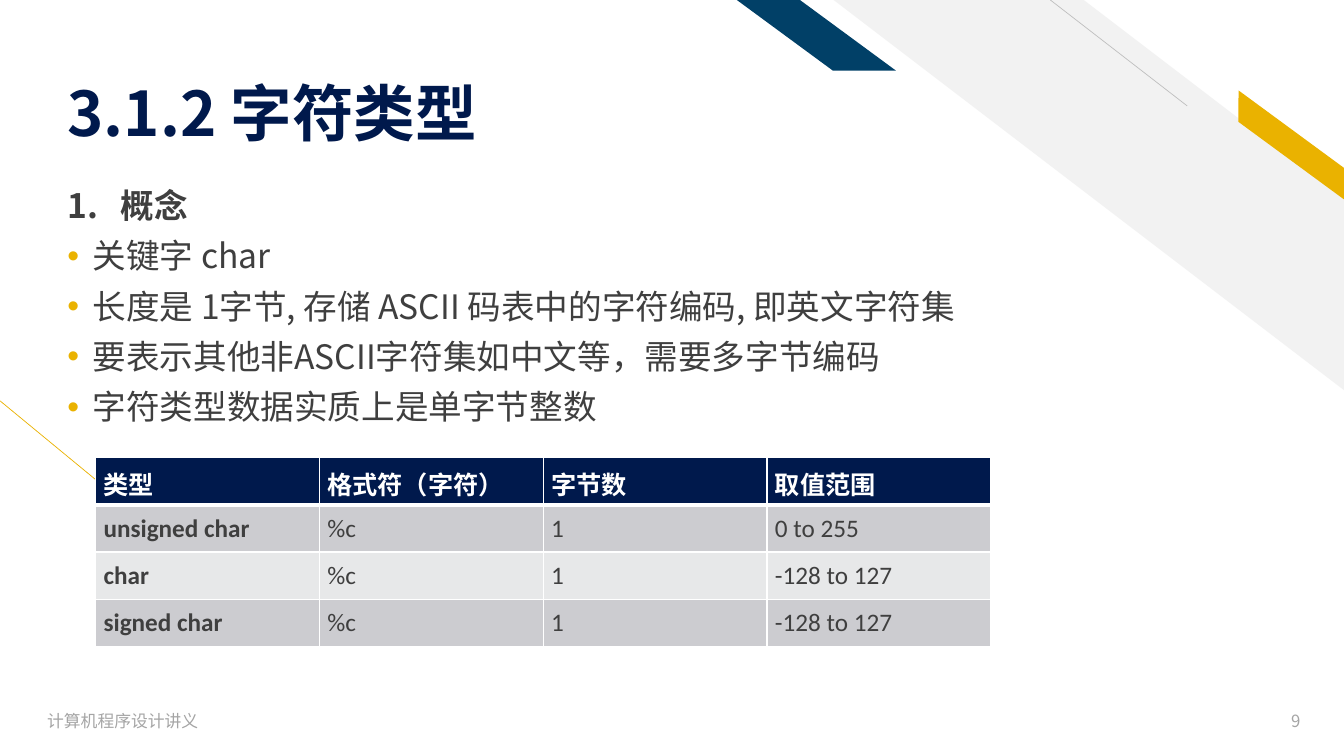
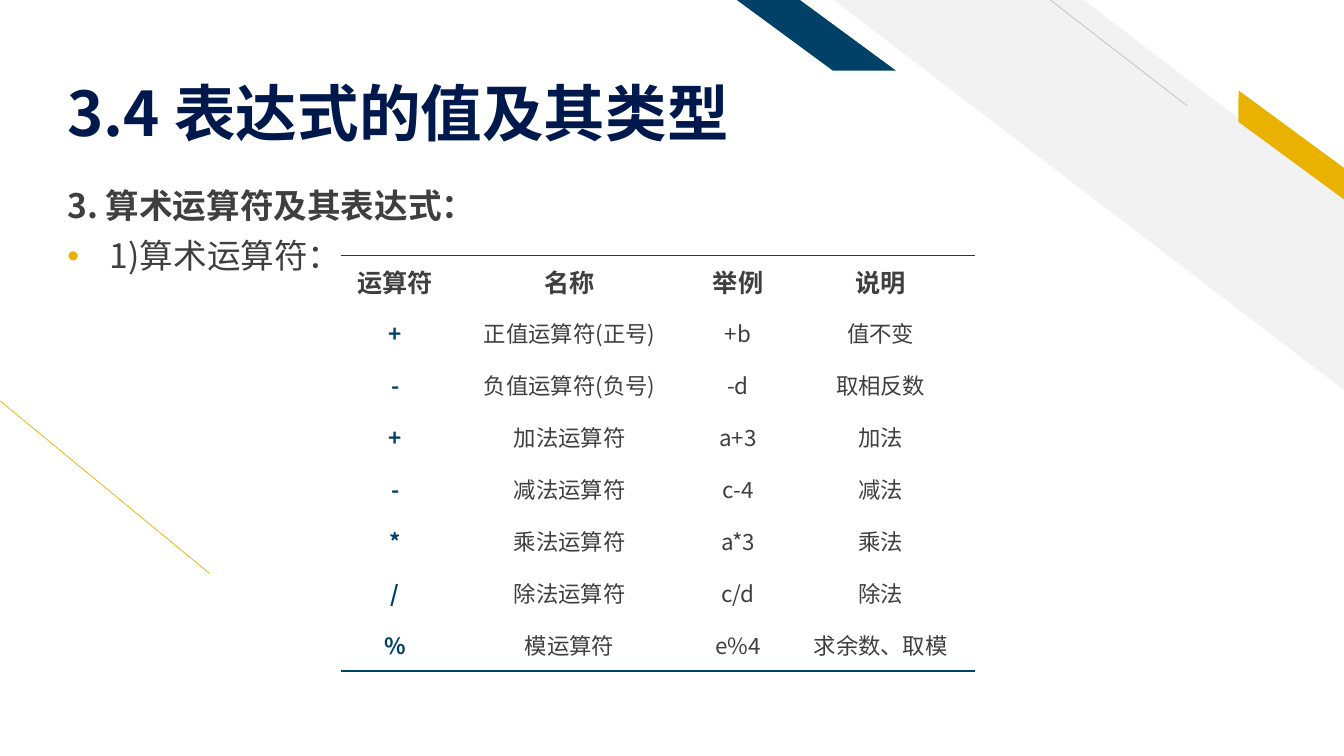
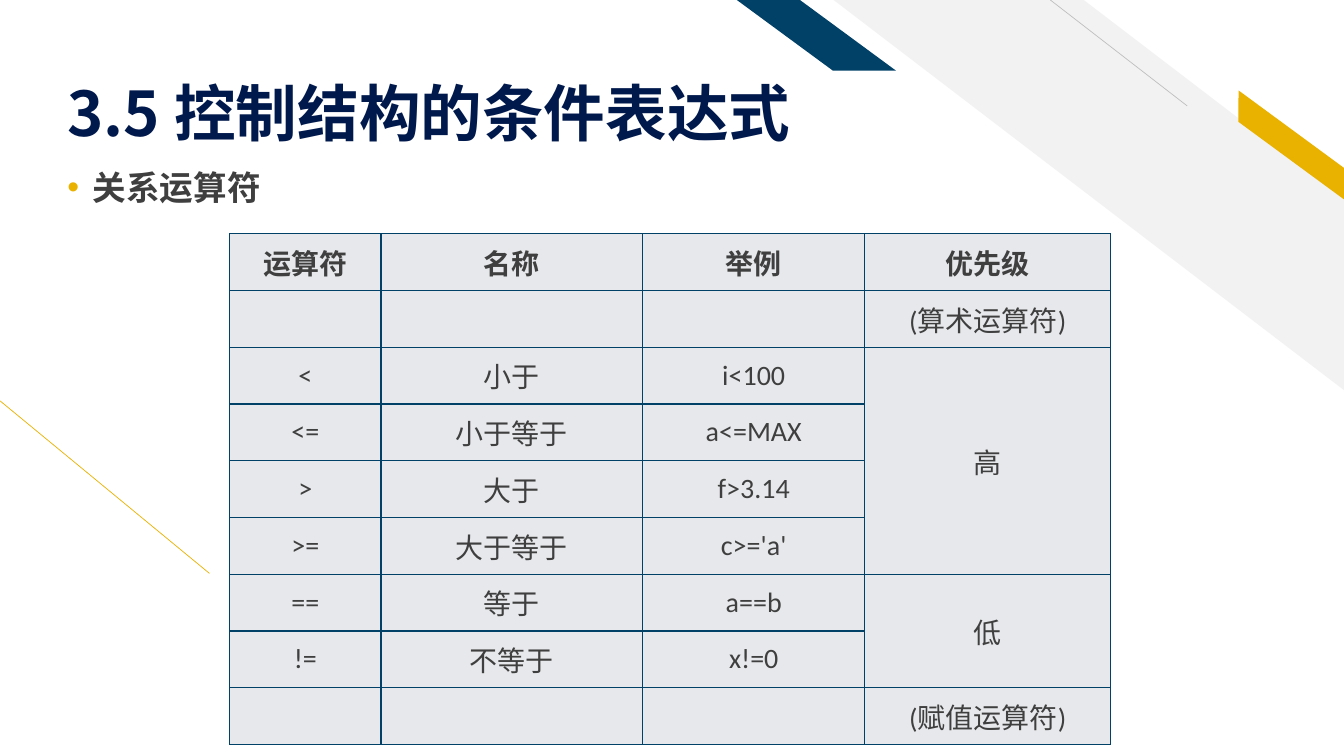
from dataclasses import dataclass

from lxml import etree
from pptx import Presentation
from pptx.dml.color import RGBColor
from pptx.enum.shapes import MSO_CONNECTOR, MSO_SHAPE
from pptx.enum.text import MSO_ANCHOR, MSO_AUTO_SIZE, PP_ALIGN
from pptx.oxml.ns import qn
from pptx.util import Cm, Pt

STRIPE, PARALLELOGRAM = MSO_SHAPE.DIAGONAL_STRIPE, MSO_SHAPE.PARALLELOGRAM
STRAIGHT = MSO_CONNECTOR.STRAIGHT
TOP, MIDDLE, BOTTOM = MSO_ANCHOR.TOP, MSO_ANCHOR.MIDDLE, MSO_ANCHOR.BOTTOM
LEFT, CENTER, RIGHT = PP_ALIGN.LEFT, PP_ALIGN.CENTER, PP_ALIGN.RIGHT
TITLE_ONLY = 5
NO_TABLE_STYLE = "{2D5ABB26-0587-4C30-8999-92F81FD0307C}"


@dataclass(frozen=True)
class Theme:
    navy: str = "00194C"
    blue: str = "014067"
    gold: str = "EAB200"
    text: str = "3F3F3F"
    muted: str = "A5A5A5"
    white: str = "FFFFFF"
    stripe: str = "F2F2F2"
    hairline: str = "BFBFBF"
    dark_band: str = "CCCCD0"
    light_band: str = "E7E8E9"
    grid: str = "E7E8EB"
    font: str = "Noto Sans CJK SC"
    table_font: str = "Calibri"
    title_size: float = 44
    body_size: float = 24
    footer_size: float = 12


THEME = Theme()


@dataclass(frozen=True)
class Box:
    """A place on the slide, in centimetres."""
    left: float
    top: float
    width: float
    height: float

    def lengths(self):
        return Cm(self.left), Cm(self.top), Cm(self.width), Cm(self.height)


@dataclass(frozen=True)
class Band:
    preset: int
    box: Box
    adjustment: float
    color: str
    rotation: float = 0


@dataclass(frozen=True)
class Hairline:
    start: tuple[float, float]
    end: tuple[float, float]
    color: str


@dataclass(frozen=True)
class BodyLine:
    text: str
    hanging: float = 0.64
    bullet: bool = True
    bold: bool = False


@dataclass(frozen=True)
class CellStyle:
    """Format of a cell; borders maps L, R, T and B to (colour, points)."""
    size: float
    color: str = THEME.text
    bold: bool = False
    font: str = THEME.font
    align: int = CENTER
    fill: str | None = None
    borders: dict[str, tuple[str, float]] | None = None
    margin: float | None = None


BACKDROP = (
    Hairline((5.28, 14.45), (0, 10.1), THEME.gold),
    Band(STRIPE, Box(21.01, 0, 12.86, 9.83), 0.51, THEME.stripe),
    Hairline((29.92, 2.67), (26.47, 0), THEME.hairline),
    Band(PARALLELOGRAM, Box(30.66, 3.33, 3.76, 0.64), 0.72, THEME.gold, 36.3),
    Band(PARALLELOGRAM, Box(18.57, 0, 4.01, 1.78), 1.36, THEME.blue),
)
TITLE_BOX = Box(1.45, 0.58, 23.14, 3.2)
FOOTER_BOX = Box(0.94, 17.65, 11.43, 1.02)
NUMBER_BOX = Box(30.96, 17.65, 2.06, 1.02)

CHARACTER_TYPES = (
    ("类型", "格式符（字符）", "字节数", "取值范围"),
    ("unsigned char", "%c", "1", "0 to 255"),
    ("char", "%c", "1", "-128 to 127"),
    ("signed char", "%c", "1", "-128 to 127"),
)
ARITHMETIC_OPERATORS = (
    ("运算符", "名称", "举例", "说明"),
    ("+", "正值运算符(正号)", "+b", "值不变"),
    ("-", "负值运算符(负号)", "-d", "取相反数"),
    ("+", "加法运算符", "a+3", "加法"),
    ("-", "减法运算符", "c-4", "减法"),
    ("*", "乘法运算符", "a*3", "乘法"),
    ("/", "除法运算符", "c/d", "除法"),
    ("%", "模运算符", "e%4", "求余数、取模"),
)
RELATIONAL_OPERATORS = (
    ("运算符", "名称", "举例", "优先级"),
    ("", "", "", "(算术运算符)"),
    ("<", "小于", "i<100", "高"),
    ("<=", "小于等于", "a<=MAX", ""),
    (">", "大于", "f>3.14", ""),
    (">=", "大于等于", "c>='a'", ""),
    ("==", "等于", "a==b", "低"),
    ("!=", "不等于", "x!=0", ""),
    ("", "", "", "(赋值运算符)"),
)


def rgb(color: str) -> RGBColor:
    return RGBColor.from_string(color)


def write_text(paragraph, text: str, *, size: float, color: str = THEME.text,
               bold: bool = False, font: str = THEME.font, align: int = LEFT,
               line_spacing: float = 1.0, space_before: float = 0) -> None:
    paragraph.alignment = align
    paragraph.line_spacing = line_spacing
    paragraph.space_before = Pt(space_before)
    run = paragraph.add_run()
    run.text = text
    run.font.size = Pt(size)
    run.font.bold = bold
    run.font.color.rgb = rgb(color)
    run.font.name = font
    east_asian = etree.SubElement(run._r.get_or_add_rPr(), qn("a:ea"))
    east_asian.set("typeface", THEME.font)


def hang_paragraph(paragraph, hanging: float, bullet: bool) -> None:
    """Indent all lines but the first, with a gold bullet if asked."""
    properties = paragraph._p.get_or_add_pPr()
    properties.set("marL", str(Cm(hanging)))
    properties.set("indent", str(-Cm(hanging)))
    if bullet:
        color = etree.SubElement(properties, qn("a:buClr"))
        etree.SubElement(color, qn("a:srgbClr")).set("val", THEME.gold)
        etree.SubElement(properties, qn("a:buFont")).set("typeface", "Arial")
        etree.SubElement(properties, qn("a:buChar")).set("char", "•")


def add_text_box(slide, box: Box, anchor: int):
    frame = slide.shapes.add_textbox(*box.lengths()).text_frame
    frame.word_wrap = True
    frame.vertical_anchor = anchor
    return frame


def add_band(slide, band: Band) -> None:
    shape = slide.shapes.add_shape(band.preset, *band.box.lengths())
    shape.adjustments[0] = band.adjustment
    shape.rotation = band.rotation
    shape.shadow.inherit = False
    shape.fill.solid()
    shape.fill.fore_color.rgb = rgb(band.color)
    shape.line.fill.background()
    shape.element.spPr.get_or_add_xfrm().set("flipH", "1")


def add_hairline(slide, hairline: Hairline) -> None:
    ends = (Cm(value) for value in hairline.start + hairline.end)
    connector = slide.shapes.add_connector(STRAIGHT, *ends)
    connector.line.color.rgb = rgb(hairline.color)
    connector.line.width = Pt(0.5)
    etree.SubElement(connector.element.spPr, qn("a:effectLst"))


def move_backdrop_to_layout(slide, layout) -> None:
    """Draw the backdrop on a slide, then hand it to the shared layout."""
    for part in BACKDROP:
        if isinstance(part, Band):
            add_band(slide, part)
        else:
            add_hairline(slide, part)
    for shape in list(slide.shapes):
        if not shape.is_placeholder:
            layout.shapes.element.append(shape.element)


def set_title(slide, text: str) -> None:
    title = slide.shapes.title
    title.left, title.top, title.width, title.height = TITLE_BOX.lengths()
    frame = title.text_frame
    frame.auto_size = MSO_AUTO_SIZE.NONE
    frame.word_wrap = True
    frame.vertical_anchor = BOTTOM
    frame.margin_bottom = 0
    write_text(frame.paragraphs[0], text, size=THEME.title_size,
               color=THEME.navy, bold=True, line_spacing=0.9)


def add_body(slide, lines: list[BodyLine], top: float = 4.65) -> None:
    frame = add_text_box(slide, Box(1.45, top, 30.1, 12.52), TOP)
    for index, line in enumerate(lines):
        paragraph = frame.add_paragraph() if index else frame.paragraphs[0]
        write_text(paragraph, line.text, size=THEME.body_size, bold=line.bold,
                   line_spacing=0.9, space_before=10)
        hang_paragraph(paragraph, line.hanging, line.bullet)


def add_footer(slide, label: str, number: str) -> None:
    for box, text, align in ((FOOTER_BOX, label, LEFT), (NUMBER_BOX, number, RIGHT)):
        frame = add_text_box(slide, box, MIDDLE)
        write_text(frame.paragraphs[0], text, size=THEME.footer_size,
                   color=THEME.muted, align=align)


def format_cell(cell, text: str, style: CellStyle) -> None:
    cell.vertical_anchor = MIDDLE
    if style.margin is not None:
        cell.margin_left = cell.margin_right = Cm(style.margin)
        cell.margin_top = cell.margin_bottom = Cm(style.margin)
    if style.fill:
        cell.fill.solid()
        cell.fill.fore_color.rgb = rgb(style.fill)
    else:
        cell.fill.background()
    borders = style.borders or {}
    sides = [side for side in "LRTB" if side in borders]
    properties = cell._tc.get_or_add_tcPr()
    for position, side in enumerate(sides):
        color, width = borders[side]
        line = etree.Element(qn(f"a:ln{side}"), w=str(Pt(width)))
        fill = etree.SubElement(line, qn("a:solidFill"))
        etree.SubElement(fill, qn("a:srgbClr")).set("val", color)
        properties.insert(position, line)
    if text:
        write_text(cell.text_frame.paragraphs[0], text, size=style.size,
                   color=style.color, bold=style.bold, font=style.font,
                   align=style.align)


def add_table(slide, rows, left: float, top: float, widths: list[float],
              row_height: float, style_of):
    """Add a table; style_of(row, column) gives each cell's style."""
    box = Box(left, top, sum(widths), row_height * len(rows))
    frame = slide.shapes.add_table(len(rows), len(widths), *box.lengths())
    table = frame.table
    table._tbl.tblPr.find(qn("a:tableStyleId")).text = NO_TABLE_STYLE
    for column, width in zip(table.columns, widths):
        column.width = Cm(width)
    for row_index, texts in enumerate(rows):
        table.rows[row_index].height = Cm(row_height)
        for column_index, text in enumerate(texts):
            format_cell(table.cell(row_index, column_index), text,
                        style_of(row_index, column_index))
    return table


def character_style(row: int, column: int) -> CellStyle:
    header = row == 0
    borders = dict.fromkeys("LRTB", (THEME.white, 1))
    if header:
        borders["B"] = (THEME.white, 3)
    elif row == 1:
        borders["T"] = (THEME.white, 3)
    band = THEME.dark_band if row % 2 else THEME.light_band
    return CellStyle(
        size=18, color=THEME.white if header else THEME.text,
        bold=header or column == 0, font=THEME.table_font, align=LEFT,
        fill=THEME.navy if header else band, borders=borders, margin=0.2)


def arithmetic_style(row: int, column: int) -> CellStyle:
    rule = (THEME.blue, 1)
    edges = {0: {"T": rule}, len(ARITHMETIC_OPERATORS) - 1: {"B": rule}}
    symbol = row > 0 and column == 0
    return CellStyle(size=16 if row else 18, bold=row == 0 or symbol,
                     color=THEME.blue if symbol else THEME.text,
                     borders=edges.get(row))


def relational_style(row: int, column: int) -> CellStyle:
    return CellStyle(size=20, bold=row == 0, font=THEME.table_font, fill=THEME.grid,
                     borders=dict.fromkeys("LRTB", (THEME.blue, 1)))


def build_character_slide(slide) -> None:
    set_title(slide, "3.1.2 字符类型")
    add_body(slide, [
        BodyLine("1.\t概念", hanging=1.35, bullet=False, bold=True),
        BodyLine("关键字 char"),
        BodyLine("长度是 1字节, 存储 ASCII 码表中的字符编码, 即英文字符集"),
        BodyLine("要表示其他非ASCII字符集如中文等，需要多字节编码"),
        BodyLine("字符类型数据实质上是单字节整数"),
    ])
    add_table(slide, CHARACTER_TYPES, 2.41, 11.53, [5.64] * 4, 1.19, character_style)
    add_footer(slide, "计算机程序设计讲义", "9")


def build_arithmetic_slide(slide) -> None:
    set_title(slide, "3.4 表达式的值及其类型")
    add_body(slide, [
        BodyLine("3. 算术运算符及其表达式：", hanging=1.07, bullet=False, bold=True),
        BodyLine("1)算术运算符：", hanging=1.07),
    ])
    add_table(slide, ARITHMETIC_OPERATORS, 8.59, 6.43, [2.74, 6.05, 2.44, 4.75],
              1.31, arithmetic_style)


def build_relational_slide(slide) -> None:
    set_title(slide, "3.5 控制结构的条件表达式")
    add_body(slide, [BodyLine("关系运算符", bold=True)], top=4.19)
    table = add_table(slide, RELATIONAL_OPERATORS, 5.79, 5.89,
                      [3.81, 6.6, 5.59, 6.2], 1.43, relational_style)
    for first, last in ((2, 5), (6, 7)):
        table.cell(first, 3).merge(table.cell(last, 3))


def main() -> None:
    presentation = Presentation()
    presentation.slide_width, presentation.slide_height = Cm(33.87), Cm(19.05)
    layout = presentation.slide_layouts[TITLE_ONLY]
    for placeholder in list(layout.placeholders)[1:]:
        layout.shapes.element.remove(placeholder.element)
    builders = (build_character_slide, build_arithmetic_slide, build_relational_slide)
    slides = [presentation.slides.add_slide(layout) for _ in builders]
    move_backdrop_to_layout(slides[0], layout)
    for build, slide in zip(builders, slides):
        build(slide)
    presentation.save("out.pptx")


if __name__ == "__main__":
    main()
